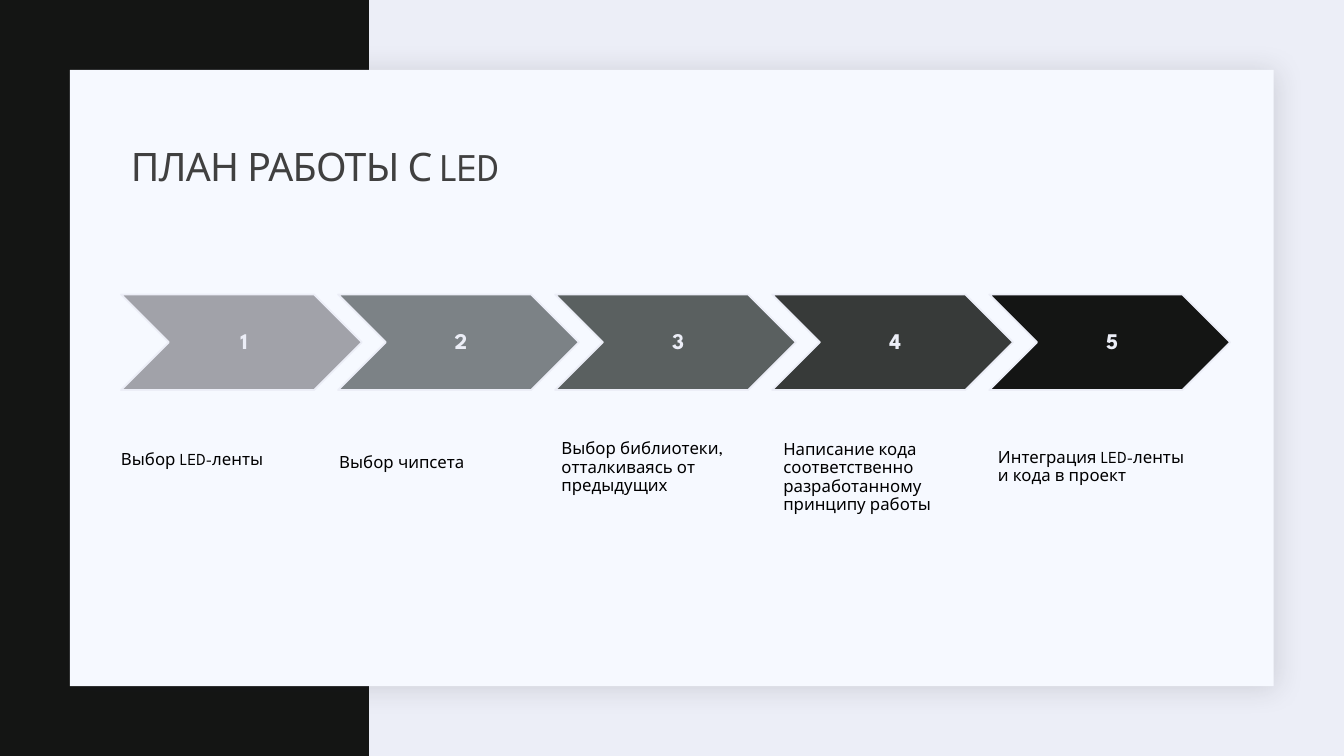
from lxml import etree
from pptx import Presentation
from pptx import util as u
from pptx.dml.color import RGBColor
from pptx.enum import shapes, text
from pptx.oxml import ns

FONT = "League Spartan"
BLACK = RGBColor(0x00, 0x00, 0x00)
INK = RGBColor(0x14, 0x15, 0x14)
TITLE = RGBColor(0x40, 0x40, 0x40)
PALE = RGBColor(0xEC, 0xEE, 0xF7)
CARD = RGBColor(0xF6, 0xF9, 0xFF)
SHADOW = RGBColor(0x1F, 0x21, 0x25)
GREYS = [RGBColor(0xA1, 0xA2, 0xA9), RGBColor(0x7C, 0x82, 0x86),
         RGBColor(0x5A, 0x60, 0x60), RGBColor(0x37, 0x3A, 0x39), INK]

# Caption, left, top, right inset (cm), line spacing
CAPTIONS = [
    ("Выбор LED-ленты", 3.05, 10.13, 0.5, 1.0),
    ("Выбор чипсета", 8.55, 10.24, 0, 0.9),
    ("Выбор библиотеки, отталкиваясь от предыдущих", 14.15, 9.91, 0.5, 0.9),
    ("Написание кода соответственно разработанному принципу работы",
     19.74, 9.93, 0.5, 0.9),
    ("Интеграция LED-ленты и кода в проект", 25.15, 10.13, 0, 0.9),
]
CHEVRON_LEFT, CHEVRON_TOP, CHEVRON_STEP = 3.05, 7.42, 5.47


def add_block(s, kind, left, top, width, height, color):
    sp = s.shapes.add_shape(kind, u.Cm(left), u.Cm(top), u.Cm(width), u.Cm(height))
    sp.shadow.inherit = False
    sp.fill.solid()
    sp.fill.fore_color.rgb = color
    sp.line.fill.background()
    return sp


def add_soft_shadow(sp):
    effects = sp._element.spPr.find(ns.qn("a:effectLst"))
    outer = etree.SubElement(effects, ns.qn("a:outerShdw"), blurRad="254000",
                             dist="25400", dir="2700000", algn="tl", rotWithShape="0")
    color = etree.SubElement(outer, ns.qn("a:srgbClr"), val=str(SHADOW))
    etree.SubElement(color, ns.qn("a:alpha"), val="15000")


def set_text(sp, content, size, color, insets, anchor, align, spacing=0.9, bold=False):
    tf = sp.text_frame
    tf.word_wrap = True
    tf.auto_size = text.MSO_AUTO_SIZE.NONE
    tf.vertical_anchor = anchor
    tf.margin_left, tf.margin_top, tf.margin_right, tf.margin_bottom = map(u.Cm, insets)
    p = tf.paragraphs[0]
    p.alignment = align
    p.line_spacing = spacing
    r = p.add_run()
    r.text = content
    p.font.name = r.font.name = FONT
    p.font.size = r.font.size = u.Pt(size)
    p.font.bold = r.font.bold = bold
    p.font.color.rgb = r.font.color.rgb = color
    return r


def add_title(s, content):
    sp = s.shapes.title
    sp.left, sp.top, sp.width, sp.height = map(u.Cm, (3.05, 3.43, 27.94, 1.63))
    r = set_text(sp, content, 28, TITLE, (0.25, 0.13, 0.25, 0.13),
                 text.MSO_ANCHOR.MIDDLE, text.PP_ALIGN.LEFT)
    r.font._element.set("spc", "-50")


def add_chevron(s, index, color):
    sp = add_block(s, shapes.MSO_SHAPE.CHEVRON, CHEVRON_LEFT + index * CHEVRON_STEP,
                   CHEVRON_TOP, 6.07, 2.41, color)
    sp.line.color.rgb = PALE
    sp.line.width = u.Pt(1.25)
    set_text(sp, str(index + 1), 16, PALE, (0.18, 0.05, 0.05, 0.05),
             text.MSO_ANCHOR.MIDDLE, text.PP_ALIGN.CENTER, bold=True)


def add_caption(s, content, left, top, right_inset, spacing):
    sp = s.shapes.add_textbox(u.Cm(left), u.Cm(top), u.Cm(4.85), u.Cm(3.25))
    set_text(sp, content, 12, BLACK, (0, 1.19, right_inset, 0),
             text.MSO_ANCHOR.TOP, text.PP_ALIGN.LEFT, spacing)


def main():
    prs = Presentation()
    prs.slide_width, prs.slide_height = u.Cm(33.87), u.Cm(19.05)
    s = prs.slides.add_slide(prs.slide_layouts[5])

    # Backdrop and card
    s.background.fill.solid()
    s.background.fill.fore_color.rgb = PALE
    rect = shapes.MSO_SHAPE.RECTANGLE
    band = add_block(s, rect, 0, 0, 9.3, 19.05, INK)
    card = add_block(s, rect, 1.76, 1.76, 30.34, 15.53, CARD)
    add_soft_shadow(card)

    # Title stays in front of the card
    add_title(s, "ПЛАН РАБОТЫ С LED")
    for sp in (card, band):
        s.shapes._spTree.insert(2, sp._element)

    # Five steps
    for index, (color, caption) in enumerate(zip(GREYS, CAPTIONS)):
        add_chevron(s, index, color)
        add_caption(s, *caption)

    prs.save("out.pptx")


main()
